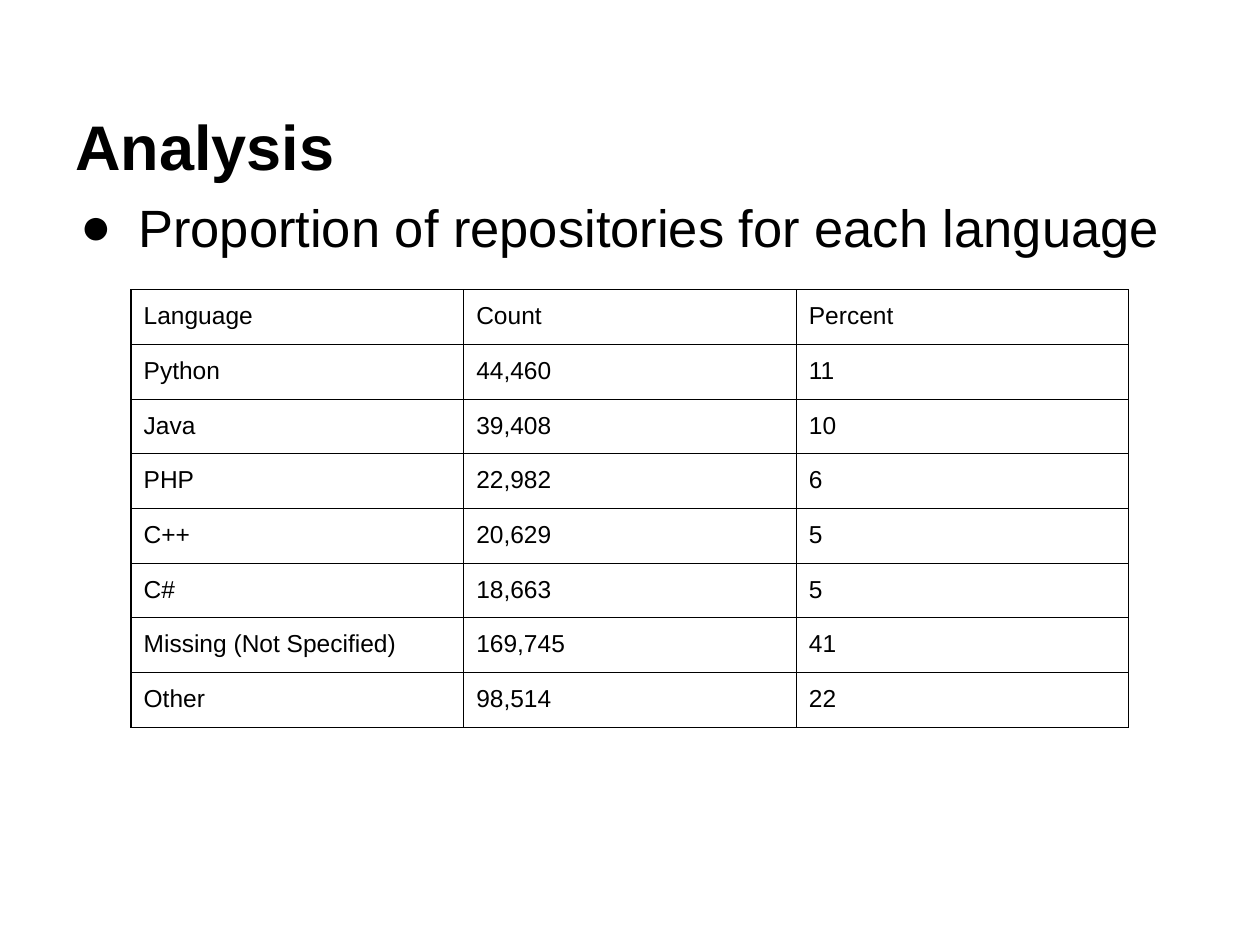
"""Build the Analysis slide: a title, one bullet and a table of repository counts."""
from typing import NamedTuple

from lxml import etree
from pptx import Presentation
from pptx.dml.color import RGBColor
from pptx.enum.text import MSO_ANCHOR
from pptx.oxml.ns import qn
from pptx.util import Emu, Inches, Pt

TOP, BOTTOM = MSO_ANCHOR.TOP, MSO_ANCHOR.BOTTOM
FONT, BLACK, WHITE = "Arial", "000000", "FFFFFF"
INSET = Inches(0.1)
COL_WIDTH, ROW_HEIGHT = Inches(2.64), Inches(0.42)


class Language(NamedTuple):
    name: str
    count: str
    percent: str


class TextBlock(NamedTuple):
    text: str
    top: float
    height: float
    size: int
    bold: bool
    anchor: MSO_ANCHOR
    bullet: str = ""


BLOCKS = [
    TextBlock("Analysis", 0.3, 1.25, 36, True, BOTTOM),
    TextBlock("Proportion of repositories for each language", 1.45, 6.05, 30, False, TOP, "●"),
]
ROWS = [
    Language("Language", "Count", "Percent"),
    Language("Python", "44,460", "11"),
    Language("Java", "39,408", "10"),
    Language("PHP", "22,982", "6"),
    Language("C++", "20,629", "5"),
    Language("C#", "18,663", "5"),
    Language("Missing (Not Specified)", "169,745", "41"),
    Language("Other", "98,514", "22"),
]


def color(value: str) -> RGBColor:
    return RGBColor.from_string(value)


def style_text(p, size: int, bold: bool = False) -> None:
    for r in p.runs:
        r.font.name, r.font.size, r.font.bold = FONT, Pt(size), bold
        r.font.color.rgb = color(BLACK)


def set_margins(box) -> None:
    box.margin_left = box.margin_right = box.margin_top = box.margin_bottom = INSET


def add_bullet(p, char: str) -> None:
    pPr = p._p.get_or_add_pPr()
    pPr.set("marL", str(Inches(0.5)))
    pPr.set("indent", str(Inches(-0.46)))
    buClr = etree.SubElement(pPr, qn("a:buClr"))
    etree.SubElement(buClr, qn("a:srgbClr"), val=BLACK)
    etree.SubElement(pPr, qn("a:buFont"), typeface=FONT)
    etree.SubElement(pPr, qn("a:buChar"), char=char)


def add_block(s, block: TextBlock) -> None:
    sp = s.shapes.add_textbox(Inches(0.5), Inches(block.top), Inches(9), Inches(block.height))
    tf = sp.text_frame
    tf.word_wrap, tf.vertical_anchor = True, block.anchor
    set_margins(tf)
    tf.text = block.text
    p = tf.paragraphs[0]
    style_text(p, block.size, block.bold)
    if block.bullet:
        add_bullet(p, block.bullet)


def add_borders(cell) -> None:
    tcPr = cell._tc.get_or_add_tcPr()
    for side in ("lnL", "lnR", "lnT", "lnB"):
        ln = etree.SubElement(tcPr, qn(f"a:{side}"), w=str(Pt(0.75)))
        fill = etree.SubElement(ln, qn("a:solidFill"))
        etree.SubElement(fill, qn("a:srgbClr"), val=BLACK)


def add_language_table(s, rows: list[Language]) -> None:
    n_cols = len(Language._fields)
    frame = s.shapes.add_table(len(rows), n_cols, Inches(1.04), Inches(2.3),
                               Emu(COL_WIDTH * n_cols), Emu(ROW_HEIGHT * len(rows)))
    table = frame.table
    table.first_row = table.horz_banding = False
    for column in table.columns:
        column.width = COL_WIDTH
    for row, language in zip(table.rows, rows):
        row.height = ROW_HEIGHT
        for cell, text in zip(row.cells, language):
            set_margins(cell)
            cell.text_frame.text = text
            style_text(cell.text_frame.paragraphs[0], 14)
            add_borders(cell)
            cell.fill.background()


def main() -> None:
    prs = Presentation()
    prs.slide_width, prs.slide_height = Inches(10), Inches(7.5)
    s = prs.slides.add_slide(prs.slide_layouts[6])
    s.background.fill.solid()
    s.background.fill.fore_color.rgb = color(WHITE)
    for block in BLOCKS:
        add_block(s, block)
    add_language_table(s, ROWS)
    prs.save("out.pptx")


main()
